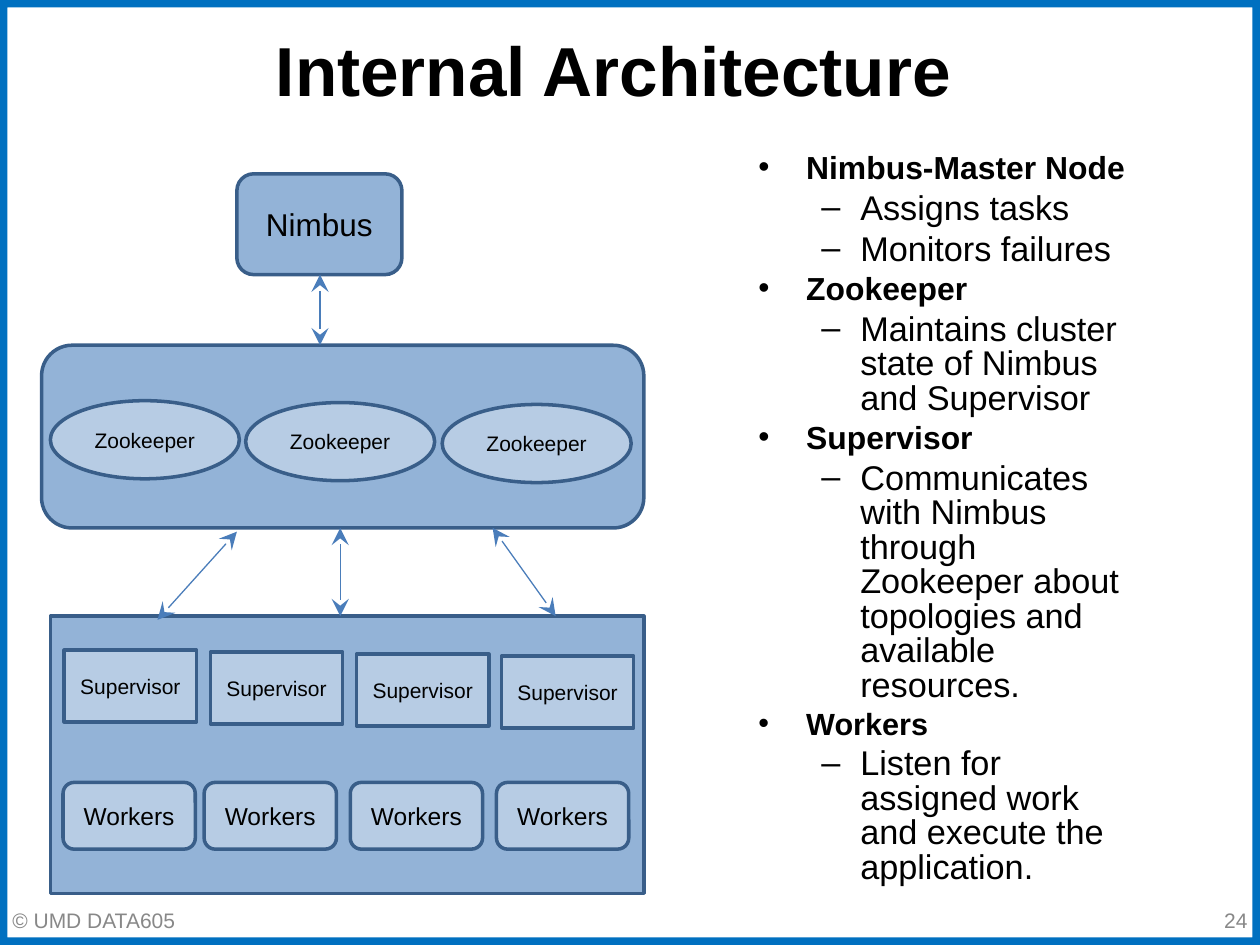
"""Build the Internal Architecture slide: cluster diagram with explanatory bullets."""
import pptx
import pptx.dml.color
import pptx.enum.shapes
import pptx.enum.text
import pptx.oxml.ns
import pptx.util
from lxml import etree

Inches = pptx.util.Inches
Pt = pptx.util.Pt
RGB = pptx.dml.color.RGBColor.from_string
SHAPE = pptx.enum.shapes.MSO_SHAPE
ALIGN = pptx.enum.text.PP_ALIGN
ANCHOR = pptx.enum.text.MSO_ANCHOR
qn = pptx.oxml.ns.qn

COLORS = {
    "frame": "0070C0", "text": "000000", "footer": "888888", "group": "93B3D7",
    "node": "B7CCE4", "outline": "395E89", "arrow": "4A7DBA",
}


def write(paragraph, text, size=12, bold=False, color="text", align=ALIGN.LEFT):
    paragraph.alignment = align
    run = paragraph.add_run()
    run.text = text
    run.font.name = "Arial"
    run.font.size = Pt(size)
    run.font.bold = bold
    run.font.color.rgb = RGB(COLORS[color])


def add_block(kind, left, top, width, height, fill="node", text="", size=12):
    block = slide.shapes.add_shape(kind, Inches(left), Inches(top), Inches(width), Inches(height))
    block.shadow.inherit = False
    block.fill.solid()
    block.fill.fore_color.rgb = RGB(COLORS[fill])
    block.line.color.rgb = RGB(COLORS["outline"])
    block.line.width = Pt(2)
    if text:
        block.text_frame.word_wrap = True
        block.text_frame.vertical_anchor = ANCHOR.MIDDLE
        write(block.text_frame.paragraphs[0], text, size=size, align=ALIGN.CENTER)
    return block


deck = pptx.Presentation()
deck.slide_width = Inches(10)
deck.slide_height = Inches(7.5)
slide = deck.slides.add_slide(deck.slide_layouts[6])

border = add_block(SHAPE.FRAME, 0, 0, 10, 7.5, fill="frame")
border.adjustments[0] = 0.008
border.line.fill.background()

captions = [
    ("© UMD DATA605", 0, 7.1, 1.6, 0.4, ANCHOR.MIDDLE, {"color": "footer"}),
    ("Internal Architecture ", 1.42, 0.17, 7.05, 0.75, ANCHOR.TOP,
     {"size": 39.6, "bold": True, "align": ALIGN.CENTER}),
    ("24", 7.67, 7.1, 2.33, 0.4, ANCHOR.MIDDLE, {"color": "footer", "align": ALIGN.RIGHT}),
]
for text, left, top, width, height, anchor, style in captions:
    caption = slide.shapes.add_textbox(Inches(left), Inches(top), Inches(width), Inches(height))
    caption.text_frame.word_wrap = True
    caption.text_frame.vertical_anchor = anchor
    write(caption.text_frame.paragraphs[0], text, **style)

roles = [
    ("Nimbus-Master Node", 18.2, ["Assigns tasks", "Monitors failures"]),
    ("Zookeeper", 18.2, ["Maintains cluster state of Nimbus and Supervisor"]),
    ("Supervisor", 18.2, ["Communicates with Nimbus through Zookeeper about topologies "
                          "and available resources."]),
    ("Workers", 17.5, ["Listen for assigned work and execute the application."]),
]
explanation = slide.shapes.add_textbox(Inches(5.92), Inches(1.17), Inches(3.17), Inches(5.94)).text_frame
explanation.word_wrap = True
bullets = []
for role, role_size, duties in roles:
    bullets.append((role, role_size, 0, "•", 0.38, -0.38, 3.6))
    bullets += [(duty, 19.6, 1, "–", 0.81, -0.31, 3.9) for duty in duties]
for position, (text, size, level, mark, margin, indent, gap) in enumerate(bullets):
    paragraph = explanation.add_paragraph() if position else explanation.paragraphs[0]
    properties = paragraph._p.get_or_add_pPr()
    properties.set("marL", str(Inches(margin)))
    properties.set("indent", str(Inches(indent)))
    bullet_color = etree.SubElement(properties, qn("a:buClr"))
    etree.SubElement(bullet_color, qn("a:srgbClr"), val=COLORS["text"])
    etree.SubElement(properties, qn("a:buFont"), typeface="Arial")
    etree.SubElement(properties, qn("a:buChar"), char=mark)
    paragraph.level = level
    paragraph.line_spacing = 0.84
    if position:
        paragraph.space_before = Pt(gap)
    write(paragraph, text, size=size, bold=level == 0)

add_block(SHAPE.ROUNDED_RECTANGLE, 1.88, 1.38, 1.31, 0.8, fill="group", text="Nimbus", size=18)
add_block(SHAPE.ROUNDED_RECTANGLE, 0.33, 2.74, 4.78, 1.45, fill="group")
add_block(SHAPE.RECTANGLE, 0.4, 4.89, 4.71, 2.2, fill="group")

tiers = [
    ("Zookeeper", SHAPE.OVAL, 12, 1.5, 0.62, [0.4, 1.95, 3.51], 3.18, 0.015),
    ("Supervisor", SHAPE.RECTANGLE, 12, 1.05, 0.57, [0.51, 1.67, 2.83, 3.98], 5.16, 0.016),
    ("Workers", SHAPE.ROUNDED_RECTANGLE, 14, 1.05, 0.53, [0.5, 1.62, 2.78, 3.94], 6.21, 0),
]
for label, kind, size, width, height, lefts, top, drop in tiers:
    for index, left in enumerate(lefts):
        add_block(kind, left, top + index * drop, width, height, text=label, size=size)

links = [
    (2.54, 2.18, 2.54, 2.74),
    (1.88, 4.22, 1.25, 4.92),
    (2.7, 4.19, 2.7, 4.89),
    (3.91, 4.19, 4.41, 4.89),
]
for ends in links:
    link = slide.shapes.add_connector(
        pptx.enum.shapes.MSO_CONNECTOR.STRAIGHT, *[Inches(end) for end in ends])
    link.line.color.rgb = RGB(COLORS["arrow"])
    link.line.width = Pt(0.75)
    for tip in ("a:headEnd", "a:tailEnd"):
        etree.SubElement(link.line._get_or_add_ln(), qn(tip), type="stealth", w="lg", len="lg")
    etree.SubElement(link._element.spPr, qn("a:effectLst"))

deck.save("out.pptx")
